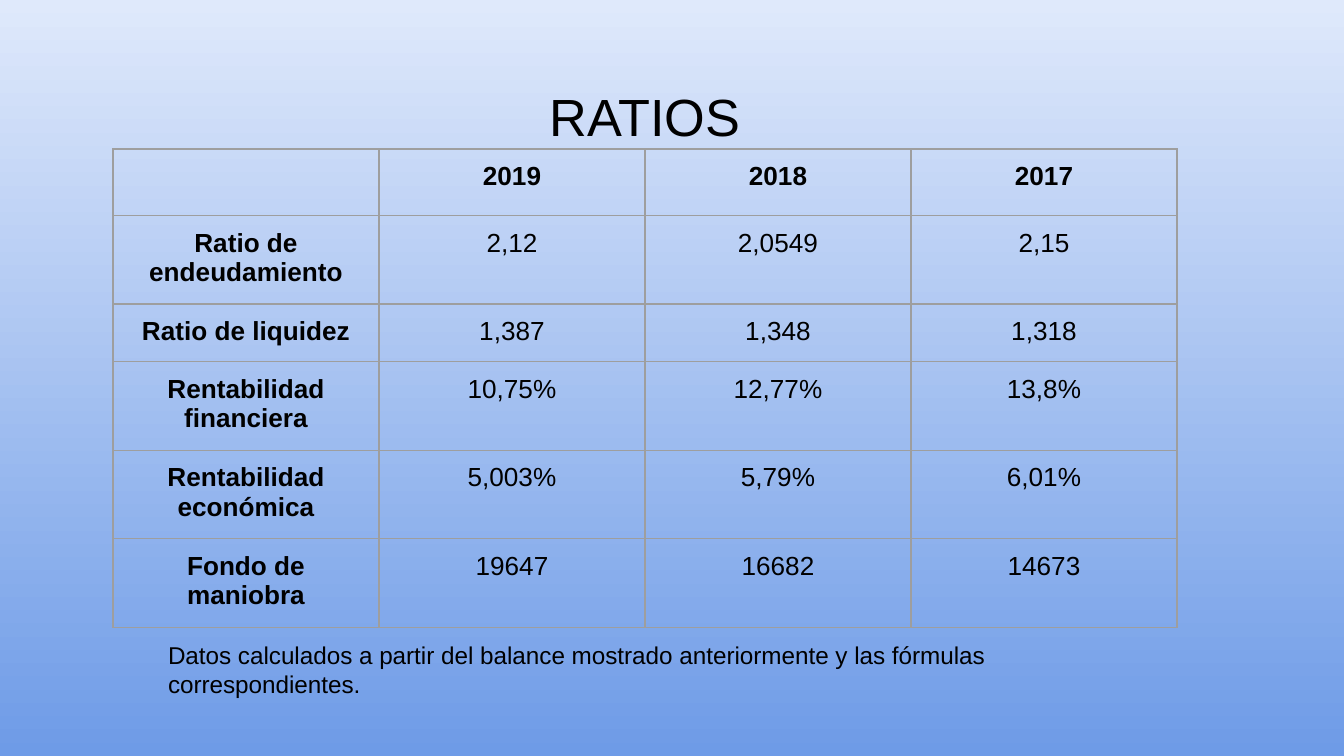
from lxml import etree
from pptx import Presentation
from pptx.dml.color import RGBColor
from pptx.enum.text import PP_ALIGN as Align
from pptx.oxml.ns import qn
from pptx.util import Emu, Pt

BLACK = RGBColor(0x00, 0x00, 0x00)
GREY = RGBColor(0x9E, 0x9E, 0x9E)
PALE = RGBColor(0xDF, 0xE9, 0xFB)
BLUE = RGBColor(0x6E, 0x9B, 0xE7)

SCALE = 914400 / 134.4
PAD = 13


def px(num):
    return Emu(round(num * SCALE))


def write(frame, text, size, align, bold=False):
    para = frame.paragraphs[0]
    para.alignment = align
    run = para.add_run()
    run.text = text
    run.font.name = "Arial"
    run.font.size = Pt(size)
    run.font.bold = bold
    run.font.color.rgb = BLACK


deck = Presentation()
deck.slide_width, deck.slide_height = px(1344), px(756)
slide = deck.slides.add_slide(deck.slide_layouts[6])

# Background, pale at the top
fill = slide.background.fill
fill.gradient()
fill.gradient_angle = 270
for stop, color in zip(fill.gradient_stops, (PALE, BLUE)):
    stop.color.rgb = color

# Title and note
NOTE = ("Datos calculados a partir del balance mostrado anteriormente "
        "y las fórmulas correspondientes.")
for left, top, wide, high, inset, text, size, align in (
    (19, 66, 1252, 85, 18, "RATIOS", 28, Align.CENTER),
    (155, 625, 982, 48, 15, NOTE, 13, Align.LEFT),
):
    box = slide.shapes.add_textbox(px(left), px(top), px(wide), px(high))
    frame = box.text_frame
    frame.word_wrap = True
    frame.margin_left = frame.margin_right = frame.margin_bottom = px(PAD)
    frame.margin_top = px(inset)
    write(frame, text, size, align)

# Table of ratios
ROWS = (
    (64, "", "2019", "2018", "2017"),
    (86, "Ratio de endeudamiento", "2,12", "2,0549", "2,15"),
    (56, "Ratio de liquidez", "1,387", "1,348", "1,318"),
    (86, "Rentabilidad financiera", "10,75%", "12,77%", "13,8%"),
    (86, "Rentabilidad económica", "5,003%", "5,79%", "6,01%"),
    (86, "Fondo de maniobra", "19647", "16682", "14673"),
)
total = sum(row[0] for row in ROWS)
table = slide.shapes.add_table(
    len(ROWS), 4, px(113), px(149), px(4 * 266), px(total)).table
table.first_row = table.horz_banding = False

for r, (high, *texts) in enumerate(ROWS):
    table.rows[r].height = px(high)
    for c, text in enumerate(texts):
        cell = table.cell(r, c)
        cell.margin_left = cell.margin_right = px(PAD)
        cell.margin_top = cell.margin_bottom = px(PAD)
        if text:
            write(cell.text_frame, text, 14, Align.CENTER, r == 0 or c == 0)

        # Borders come before the fill in the cell's XML
        props = cell._tc.get_or_add_tcPr()
        for side in ("a:lnL", "a:lnR", "a:lnT", "a:lnB"):
            line = etree.SubElement(props, qn(side), w=str(Pt(0.75)))
            solid = etree.SubElement(line, qn("a:solidFill"))
            etree.SubElement(solid, qn("a:srgbClr"), val=str(GREY))
        cell.fill.background()

deck.save("out.pptx")
